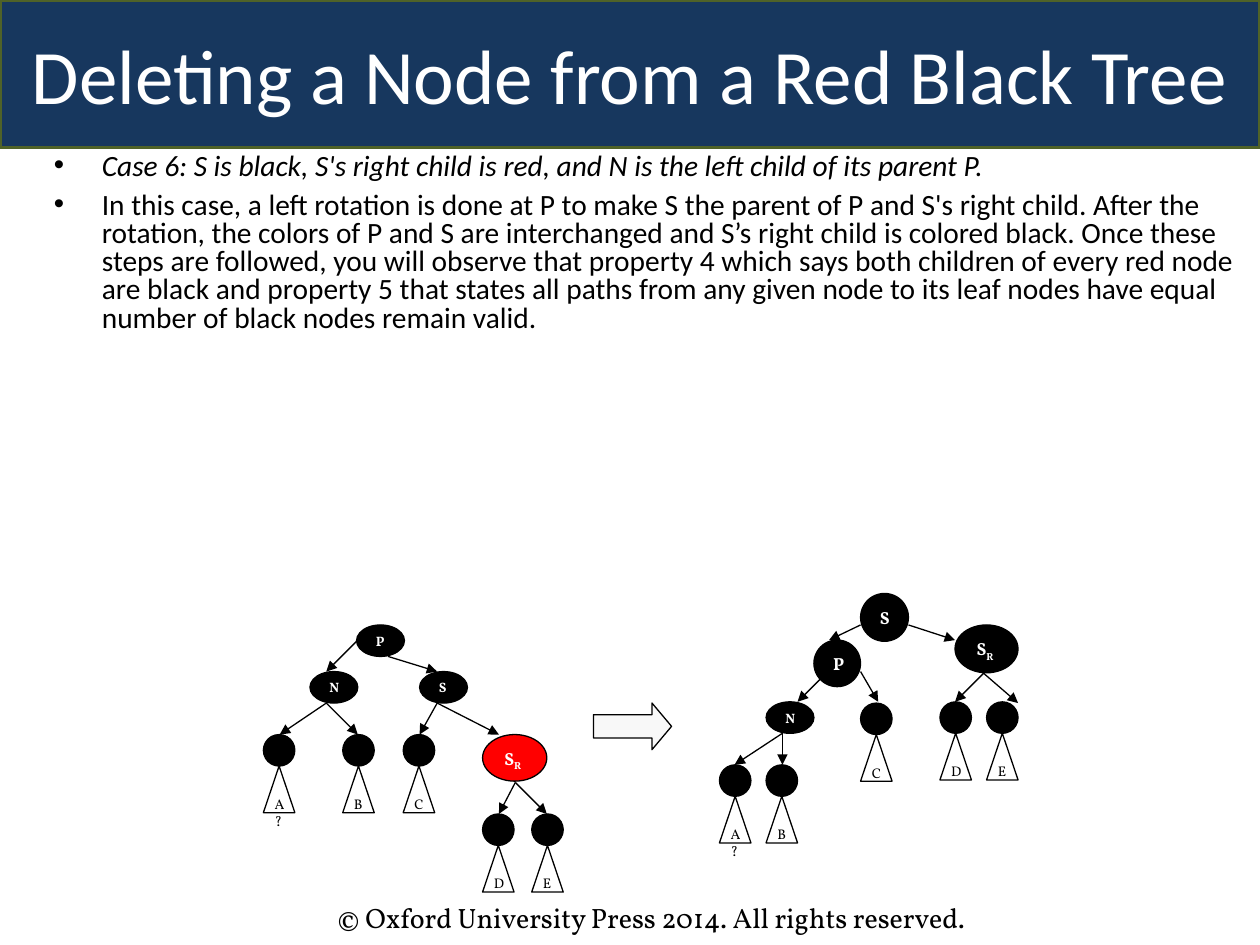
from typing import NamedTuple, Optional

from lxml import etree
from pptx import Presentation
from pptx import util as u
from pptx.dml.color import RGBColor
from pptx.enum import shapes, text
from pptx.oxml import ns

BLACK = RGBColor(0x00, 0x00, 0x00)
WHITE = RGBColor(0xFF, 0xFF, 0xFF)
RED = RGBColor(0xFF, 0x00, 0x00)
NAVY = RGBColor(0x17, 0x37, 0x5E)
OLIVE = RGBColor(0x4F, 0x62, 0x28)
PALE = RGBColor(0xF8, 0xF8, 0xF8)
SANS, SERIF = "Calibri", "Vollkorn"
SHAPE = shapes.MSO_SHAPE
LEAF_SIZE, TRIANGLE_HEIGHT = 0.25, 0.37
HANGING = 0.38


class Node(NamedTuple):
    label: str
    left: float
    top: float
    width: float
    height: float
    size: float = 10
    spacing: float = 1.0
    subscript: str = ""
    fill: RGBColor = BLACK


class Leaf(NamedTuple):
    """A black circle with a subtree triangle hanging from it."""
    label: str
    left: float
    top: float


class Edge(NamedTuple):
    x1: float
    y1: float
    x2: float
    y2: float


def small_node(label: str, left: float, top: float) -> Node:
    return Node(label, left, top, 0.38, 0.25, size=7.8, spacing=0.8)


EDGES = [
    # Before the rotation
    Edge(2.84, 5.08, 2.59, 5.33), Edge(3.08, 5.21, 3.47, 5.33),
    Edge(2.59, 5.58, 2.22, 5.83), Edge(2.59, 5.58, 2.84, 5.83),
    Edge(3.47, 5.58, 3.33, 5.83), Edge(3.47, 5.58, 3.96, 5.83),
    Edge(4.09, 6.21, 3.96, 6.46), Edge(4.09, 6.21, 4.34, 6.46),
    # After the rotation
    Edge(6.83, 4.96, 6.58, 5.08), Edge(7.21, 4.96, 7.58, 5.08),
    Edge(6.58, 5.32, 6.33, 5.57), Edge(6.83, 5.33, 6.97, 5.57),
    Edge(6.21, 5.82, 5.83, 6.07), Edge(6.21, 5.82, 6.21, 6.07),
    Edge(7.83, 5.32, 7.58, 5.57), Edge(7.71, 5.26, 8.08, 5.58),
]
NODES = [
    small_node("P", 2.83, 4.96), small_node("N", 2.46, 5.33),
    small_node("S", 3.33, 5.33),
    Node("S", 3.83, 5.83, 0.51, 0.37, subscript="R", fill=RED),
    Node("S", 6.83, 4.71, 0.38, 0.38), Node("P", 6.46, 5.08, 0.37, 0.37),
    small_node("N", 6.08, 5.57),
    Node("S", 7.58, 4.96, 0.5, 0.38, subscript="R"),
]
LEAVES = [
    Leaf("A?", 2.09, 5.83), Leaf("B", 2.72, 5.83), Leaf("C", 3.2, 5.83),
    Leaf("D", 3.83, 6.46), Leaf("E", 4.22, 6.46),
    Leaf("A?", 5.71, 6.07), Leaf("B", 6.08, 6.07), Leaf("C", 6.83, 5.58),
    Leaf("D", 7.46, 5.57), Leaf("E", 7.83, 5.57),
]
CASE = ("Case 6: S is black, S's right child is red, and N is the left child "
        "of its parent P.")
EXPLANATION = (
    "In this case, a left rotation is done at P to make S the parent of P and "
    "S's right child. After the rotation, the colors of P and S are "
    "interchanged and S’s right child is colored black. Once these steps are "
    "followed, you will observe that property 4 which says both children of "
    "every red node are black and property 5 that states all paths from any "
    "given node to its leaf nodes have equal number of black nodes remain valid.")


def add_span(para, words: str, *, size: float, font: str = SERIF,
             color: RGBColor = BLACK, bold: bool = False,
             italic: bool = False, baseline: Optional[int] = None) -> None:
    span = para.add_run()
    span.text = words
    span.font.size = u.Pt(size)
    span.font.name = font
    span.font.color.rgb = color
    span.font.bold = bold
    span.font.italic = italic
    if baseline is not None:
        span.font._element.set("baseline", str(baseline))


def add_figure(page, kind, left: float, top: float, width: float,
               height: float, *, fill: RGBColor, line: RGBColor = BLACK,
               weight: float = 0.75, align=text.PP_ALIGN.LEFT,
               anchor=text.MSO_ANCHOR.TOP):
    figure = page.shapes.add_shape(kind, u.Inches(left), u.Inches(top),
                                   u.Inches(width), u.Inches(height))
    figure.shadow.inherit = False
    figure.fill.solid()
    figure.fill.fore_color.rgb = fill
    figure.line.color.rgb = line
    figure.line.width = u.Pt(weight)
    figure.text_frame.vertical_anchor = anchor
    figure.text_frame.paragraphs[0].alignment = align
    return figure


def add_text_box(page, left: float, top: float, width: float, height: float):
    box = page.shapes.add_textbox(u.Inches(left), u.Inches(top),
                                  u.Inches(width), u.Inches(height))
    box.text_frame.word_wrap = True
    return box.text_frame


def add_bullet(para) -> None:
    props = para._p.get_or_add_pPr()
    props.set("marL", str(u.Inches(HANGING)))
    props.set("indent", str(u.Inches(-HANGING)))
    font = etree.SubElement(props, ns.qn("a:buFont"))
    font.set("typeface", "Arial")
    etree.SubElement(props, ns.qn("a:buChar")).set("char", "•")


def draw_edge(page, edge: Edge) -> None:
    arrow = page.shapes.add_connector(
        shapes.MSO_CONNECTOR.STRAIGHT, *(u.Inches(value) for value in edge))
    arrow.line.color.rgb = BLACK
    arrow.line.width = u.Pt(0.75)
    etree.SubElement(arrow.line._get_or_add_ln(),
                     ns.qn("a:tailEnd")).set("type", "triangle")
    etree.SubElement(arrow._element.spPr, ns.qn("a:effectLst"))


def draw_node(page, node: Node) -> None:
    oval = add_figure(page, SHAPE.OVAL, node.left, node.top, node.width,
                      node.height, fill=node.fill)
    para = oval.text_frame.paragraphs[0]
    para.line_spacing = node.spacing
    add_span(para, node.label, size=node.size, color=WHITE, bold=True)
    if node.subscript:
        add_span(para, node.subscript, size=node.size, color=WHITE, bold=True,
                 baseline=-25000)


def draw_leaf(page, leaf: Leaf) -> None:
    add_figure(page, SHAPE.OVAL, leaf.left, leaf.top, LEAF_SIZE, LEAF_SIZE,
               fill=BLACK)
    triangle = add_figure(page, SHAPE.FLOWCHART_EXTRACT, leaf.left,
                          leaf.top + LEAF_SIZE, LEAF_SIZE, TRIANGLE_HEIGHT,
                          fill=WHITE)
    add_span(triangle.text_frame.paragraphs[0], leaf.label, size=8)


def main() -> None:
    deck = Presentation()
    deck.slide_width, deck.slide_height = u.Inches(10), u.Inches(7.5)
    page = deck.slides.add_slide(deck.slide_layouts[6])

    footer = add_text_box(page, 2.58, 7.1, 5.92, 0.37)
    add_span(footer.paragraphs[0],
             "© Oxford University Press 2014. All rights reserved.", size=16)

    title = add_figure(page, SHAPE.ROUNDED_RECTANGLE, 0, 0, 10, 1.17,
                       fill=NAVY, line=OLIVE, weight=2,
                       align=text.PP_ALIGN.CENTER,
                       anchor=text.MSO_ANCHOR.MIDDLE)
    title.adjustments[0] = 0
    add_span(title.text_frame.paragraphs[0],
             "Deleting a Node from a Red Black Tree",
             size=44, font=SANS, color=WHITE)

    body = add_text_box(page, 0.33, 1.17, 9.58, 2.25)
    case, explanation = body.paragraphs[0], body.add_paragraph()
    for para, words in ((case, CASE), (explanation, EXPLANATION)):
        add_bullet(para)
        para.line_spacing = 0.8
        add_span(para, words, size=16.8, font=SANS, italic=para is case)
    explanation.space_before = u.Pt(6)

    for edge in EDGES:
        draw_edge(page, edge)
    for node in NODES:
        draw_node(page, node)
    for leaf in LEAVES:
        draw_leaf(page, leaf)
    rotation = add_figure(page, SHAPE.RIGHT_ARROW, 4.71, 5.58, 0.62, 0.37,
                          fill=PALE)
    rotation.adjustments[1] = 0.42
    deck.save("out.pptx")


if __name__ == "__main__":
    main()
